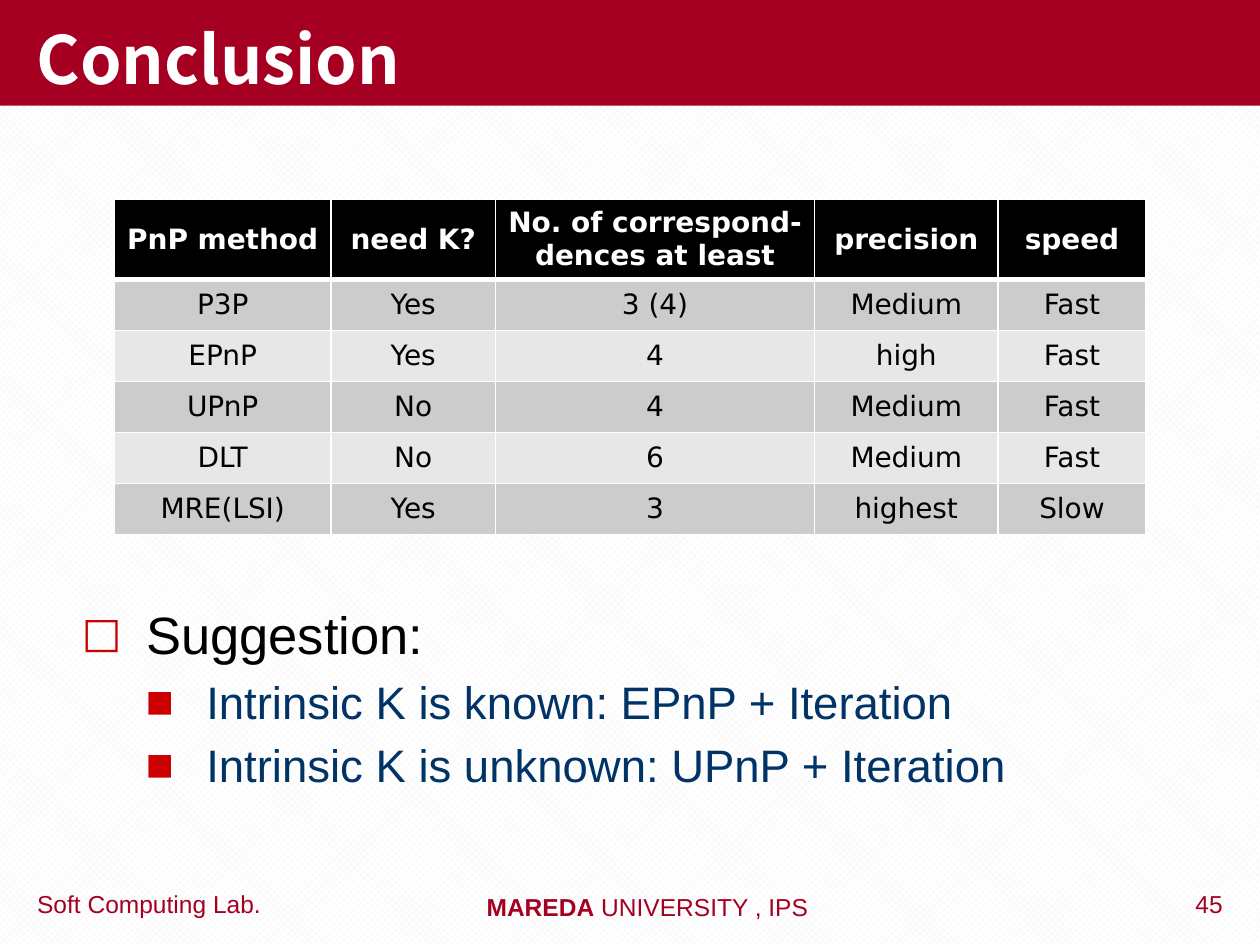
import pptx
import pptx.dml.color
import pptx.enum.dml
import pptx.enum.text
import pptx.oxml
import pptx.oxml.ns
import pptx.util
from lxml import etree

Cm = pptx.util.Cm
Pt = pptx.util.Pt
ANCHOR = pptx.enum.text.MSO_ANCHOR
ALIGN = pptx.enum.text.PP_ALIGN

CRIMSON, WHITE, BLACK, NAVY, RED = "A50021", "FFFFFF", "000000", "003366", "CC0000"
SHADES = ("CCCCCC", "E7E7E7")

COLUMN_WIDTHS = (4.36, 3.32, 6.43, 3.7, 2.98)
HEADER_HEIGHT, ROW_HEIGHT = 1.52, 1.03
METHODS = (
    ("PnP method", "need K?", "No. of correspond-dences at least", "precision", "speed"),
    ("P3P", "Yes", "3 (4)", "Medium", "Fast"),
    ("EPnP", "Yes", "4", "high", "Fast"),
    ("UPnP", "No", "4", "Medium", "Fast"),
    ("DLT", "No", "6", "Medium", "Fast"),
    ("MRE(LSI)", "Yes", "3", "highest", "Slow"),
)

TOP_LEVEL = {"margin": 1.3, "hanging": 1.3, "mark": "□", "scale": 80,
             "size": 30, "color": BLACK, "before": 6.5}
SUB_LEVEL = {"margin": 2.51, "hanging": 1.22, "mark": "■", "scale": 65,
             "size": 26, "color": NAVY, "before": 5}
SUGGESTIONS = (
    ("Suggestion:", TOP_LEVEL),
    ("Intrinsic K is known: EPnP + Iteration", SUB_LEVEL),
    ("Intrinsic K is unknown: UPnP + Iteration", SUB_LEVEL),
)


def rgb(value):
    return pptx.dml.color.RGBColor.from_string(value)


def apply(target, values):
    for name, value in values.items():
        setattr(target, name, value)


def add_element(parent, tag, **attributes):
    element = etree.SubElement(parent, pptx.oxml.ns.qn(tag))
    for name, value in attributes.items():
        element.set(name, str(value))
    return element


class SlideWriter:
    text_font = "Arial"
    table_font = "DejaVu Sans"
    title_font = "Noto Sans CJK SC"

    def __init__(self, deck):
        self.page = deck.slides.add_slide(deck.slide_layouts[5])

    def background(self):
        fill = self.page.background.fill
        fill.patterned()
        fill.pattern = pptx.enum.dml.MSO_PATTERN.SOLID_DIAMOND
        fill.fore_color.rgb = rgb("F2F2F2")
        fill.back_color.rgb = rgb(WHITE)

    def span(self, para, text, font, size, color, bold=False):
        span = para.add_run()
        span.text = text
        apply(span.font, {"name": font, "size": Pt(size), "bold": bold})
        span.font.color.rgb = rgb(color)

    def title(self, text):
        box = self.page.shapes.title
        apply(box, {"left": Cm(0), "top": Cm(0), "width": Cm(25.4), "height": Cm(2.13)})
        box.fill.solid()
        box.fill.fore_color.rgb = rgb(CRIMSON)
        frame = box.text_frame
        apply(frame, {"vertical_anchor": ANCHOR.BOTTOM, "word_wrap": True,
                      "margin_bottom": Cm(0.16),
                      "auto_size": pptx.enum.text.MSO_AUTO_SIZE.NONE})
        para = frame.paragraphs[0]
        para.alignment = ALIGN.LEFT
        para._p.get_or_add_pPr().set("indent", str(Cm(0.48)))
        self.span(para, text, self.title_font, 38, WHITE, bold=True)

    def frame(self, left, top, width, height):
        box = self.page.shapes.add_textbox(Cm(left), Cm(top), Cm(width), Cm(height))
        apply(box.text_frame, {"word_wrap": True, "vertical_anchor": ANCHOR.TOP})
        return box.text_frame

    def footer(self, left, top, width, parts, align=ALIGN.LEFT):
        para = self.frame(left, top, width, 0.98).paragraphs[0]
        para.alignment = align
        for text, bold in parts:
            self.span(para, text, self.text_font, 14, CRIMSON, bold)

    def bullets(self, left, top, width, height, items):
        frame = self.frame(left, top, width, height)
        for index, (text, level) in enumerate(items):
            para = frame.add_paragraph() if index else frame.paragraphs[0]
            apply(para, {"space_before": Pt(level["before"]), "level": int(level is SUB_LEVEL)})
            properties = para._p.get_or_add_pPr()
            properties.set("marL", str(Cm(level["margin"])))
            properties.set("indent", str(-Cm(level["hanging"])))
            color = add_element(properties, "a:buClr")
            add_element(color, "a:srgbClr", val=RED)
            add_element(properties, "a:buSzPct", val=level["scale"] * 1000)
            add_element(properties, "a:buFont", typeface=self.table_font)
            add_element(properties, "a:buChar", char=level["mark"])
            self.span(para, text, self.text_font, level["size"], level["color"])

    def borders(self, cell, row):
        widths = {"L": 1, "R": 1, "T": 3 if row == 1 else 1, "B": 3 if row == 0 else 1}
        properties = cell._tc.get_or_add_tcPr()
        for side, width in widths.items():
            line = add_element(properties, f"a:ln{side}", w=Pt(width))
            fill = add_element(line, "a:solidFill")
            add_element(fill, "a:srgbClr", val=WHITE)

    def table(self, left, top, rows):
        heights = [HEADER_HEIGHT] + [ROW_HEIGHT] * (len(rows) - 1)
        table = self.page.shapes.add_table(
            len(rows), len(COLUMN_WIDTHS), Cm(left), Cm(top),
            Cm(sum(COLUMN_WIDTHS)), Cm(sum(heights))).table
        table.horz_banding = False
        for column, width in zip(table.columns, COLUMN_WIDTHS):
            column.width = Cm(width)
        for row, (texts, height) in enumerate(zip(rows, heights)):
            table.rows[row].height = Cm(height)
            header = row == 0
            for column, text in enumerate(texts):
                cell = table.cell(row, column)
                cell.vertical_anchor = ANCHOR.MIDDLE
                self.borders(cell, row)
                cell.fill.solid()
                cell.fill.fore_color.rgb = rgb(BLACK if header else SHADES[(row - 1) % 2])
                para = cell.text_frame.paragraphs[0]
                para.alignment = ALIGN.CENTER
                self.span(para, text, self.table_font, 16, WHITE if header else BLACK, header)


def main():
    deck = pptx.Presentation()
    apply(deck, {"slide_width": Cm(25.4), "slide_height": Cm(19.05)})
    writer = SlideWriter(deck)
    writer.background()
    writer.title("Conclusion")
    writer.bullets(1.4, 12.01, 24, 5.13, SUGGESTIONS)
    writer.footer(0.5, 17.8, 5.5, [("Soft Computing Lab.", False)])
    writer.footer(9.56, 17.85, 8.05, [("MAREDA", True), (" UNIVERSITY , IPS", False)])
    writer.footer(19.4, 17.8, 5.5, [("45", False)], ALIGN.RIGHT)
    writer.table(2.31, 4.02, METHODS)
    deck.save("out.pptx")


if __name__ == "__main__":
    main()
